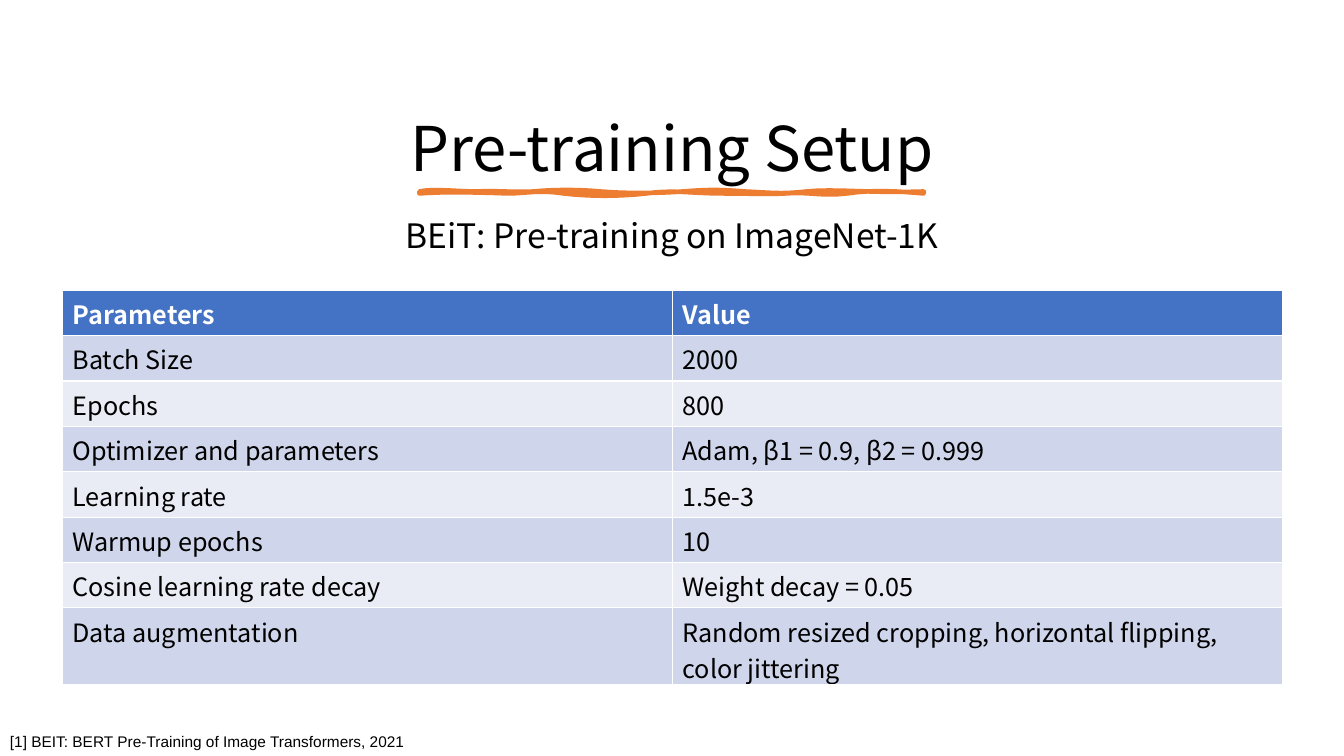
from pptx import Presentation
from pptx.dml.color import RGBColor
from pptx.enum.text import MSO_ANCHOR, PP_ALIGN
from pptx.util import Inches, Pt

BLACK = RGBColor(0, 0, 0)
WHITE = RGBColor(255, 255, 255)
BLUE = RGBColor(0x44, 0x72, 0xC4)
ORANGE = RGBColor(0xED, 0x7D, 0x31)
BANDS = [RGBColor(0xE9, 0xEB, 0xF5), RGBColor(0xCF, 0xD5, 0xEA)]
SANS = "Noto Sans CJK SC"

ROWS = [
    ("Parameters", "Value"),
    ("Batch Size", "2000"),
    ("Epochs", "800"),
    ("Optimizer and parameters", "Adam, β1 = 0.9, β2 = 0.999"),
    ("Learning rate", "1.5e-3"),
    ("Warmup epochs", "10"),
    ("Cosine learning rate decay", "Weight decay = 0.05"),
    ("Data augmentation",
     "Random resized cropping, horizontal flipping, color jittering"),
]

START = (0, 0.03)
CURVES = [
    ((0.12, 0), (0.38, 0.03), (0.57, 0.03)),
    ((0.76, 0.02), (0.93, 0.04), (1.13, 0.03)),
    ((1.33, 0.01), (1.58, 0.01), (1.8, 0.03)),
    ((2.01, 0.05), (2.37, 0.05), (2.61, 0.03)),
    ((2.86, 0.01), (2.98, 0.01), (3.23, 0.03)),
    ((3.47, 0.04), (3.58, 0.06), (3.84, 0.03)),
    ((4.1, 0), (4.51, 0.05), (5, 0.03)),
    ((5.01, 0.04), (5, 0.04), (5, 0.05)),
    ((4.79, 0.03), (4.49, 0.01), (4.24, 0.05)),
    ((3.99, 0.08), (3.85, 0.03), (3.63, 0.05)),
    ((3.4, 0.06), (3.31, 0.05), (3.01, 0.05)),
    ((2.71, 0.05), (2.51, 0.01), (2.25, 0.05)),
    ((1.98, 0.08), (1.69, 0.08), (1.43, 0.05)),
    ((1.18, 0.01), (1.07, 0.05), (0.87, 0.05)),
    ((0.67, 0.04), (0.22, 0.03), (0, 0.05)),
]


def add_text(slide, box, text, size, font, align=PP_ALIGN.LEFT,
             anchor=MSO_ANCHOR.TOP, space=None):
    frame = slide.shapes.add_textbox(*map(Inches, box)).text_frame
    frame.word_wrap = True
    frame.vertical_anchor = anchor
    para = frame.paragraphs[0]
    para.text = text
    para.alignment = align
    para.line_spacing = space
    para.font.size = Pt(size)
    para.font.name = font
    para.font.color.rgb = BLACK
    return para


def add_head(slide, box, text, size):
    return add_text(slide, box, text, size, SANS, PP_ALIGN.CENTER,
                    MSO_ANCHOR.MIDDLE, 0.9)


def trace(start, curves, steps=8):
    points = []
    for one, two, end in curves:
        for step in range(1, steps + 1):
            t = step / steps
            u = 1 - t
            points.append(tuple(
                u**3 * a + 3 * u * u * t * b + 3 * u * t * t * c + t**3 * d
                for a, b, c, d in zip(start, one, two, end)))
        start = end
    return points


def add_stroke(slide, left, top):
    def place(point):
        return Inches(left + point[0]), Inches(top + point[1])

    pen = slide.shapes.build_freeform(*place(START))
    pen.add_line_segments([place(p) for p in trace(START, CURVES)])
    stroke = pen.convert_to_shape()
    stroke.shadow.inherit = False
    stroke.fill.solid()
    stroke.fill.fore_color.rgb = ORANGE
    stroke.line.color.rgb = ORANGE
    stroke.line.width = Pt(3.25)


def add_grid(slide, box):
    shape = slide.shapes.add_table(len(ROWS), 2, *map(Inches, box))
    table = shape.table
    for row in table.rows:
        row.height = Inches(0.45)
    table.rows[len(ROWS) - 1].height = Inches(0.76)
    for i, texts in enumerate(ROWS):
        for j, text in enumerate(texts):
            cell = table.cell(i, j)
            cell.text = text
            cell.fill.solid()
            cell.fill.fore_color.rgb = BANDS[i % 2] if i else BLUE
            font = cell.text_frame.paragraphs[0].font
            font.size = Pt(18)
            font.name = SANS
            font.bold = i == 0
            font.color.rgb = BLACK if i else WHITE


def main():
    deck = Presentation()
    deck.slide_width = Inches(13.33)
    deck.slide_height = Inches(7.5)
    slide = deck.slides.add_slide(deck.slide_layouts[6])
    add_head(slide, (0.7, 0.82, 11.93, 1.37), "Pre-training Setup", 44)
    lead = add_head(slide, (0.7, 1.98, 11.93, 0.75),
                    "BEiT: Pre-training on ImageNet-1K", 24)
    lead.space_before = Pt(10)
    add_stroke(slide, 4.16, 1.87)
    note = add_text(slide, (0, 7.21, 6.58, 0.29),
                    "[1] BEIT: BERT Pre-Training of Image Transformers, 2021",
                    11, "Arial")
    note.space_after = Pt(6)
    add_grid(slide, (0.62, 2.88, 12.1, 3.91))
    deck.save("out.pptx")


if __name__ == "__main__":
    main()
